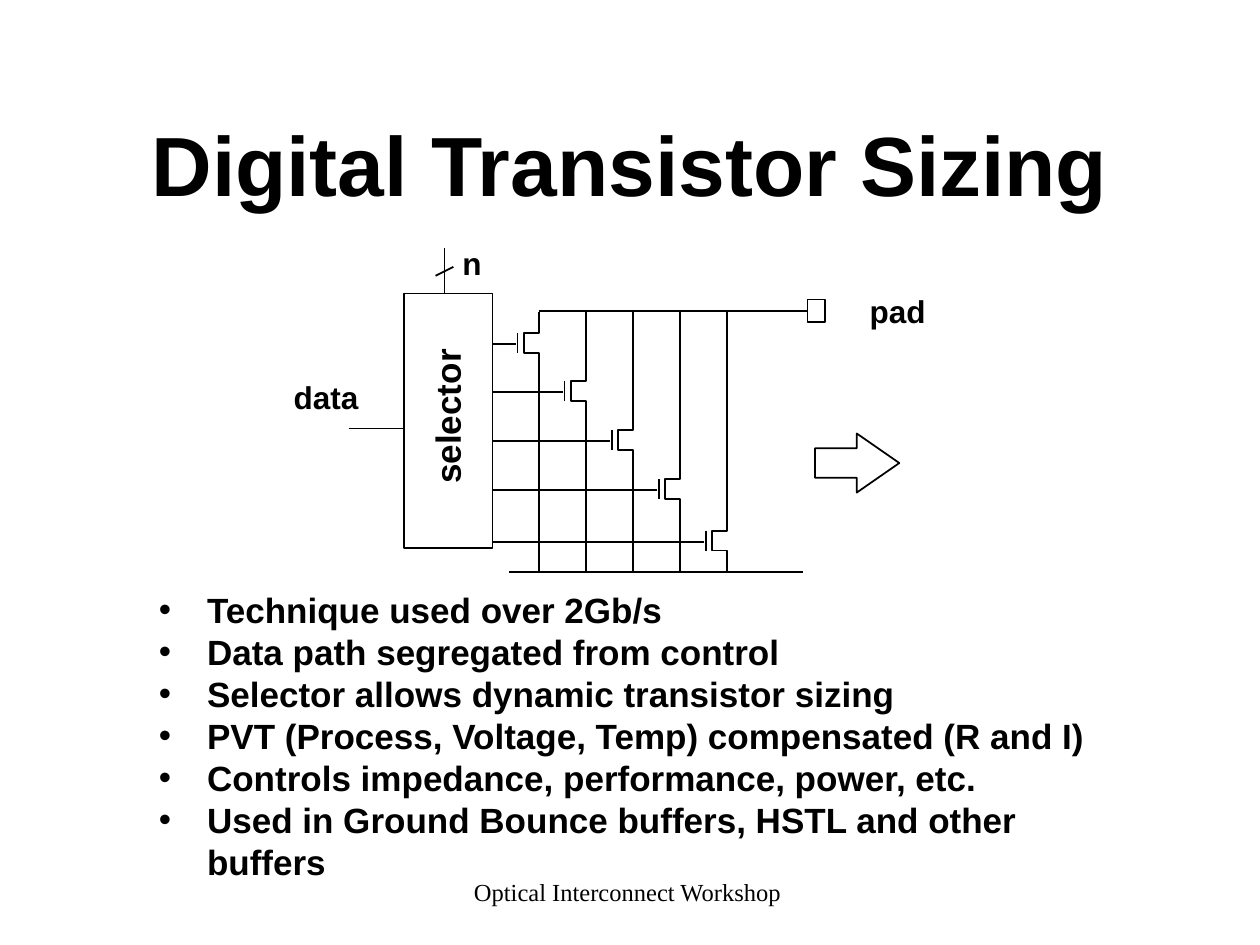
from lxml.etree import SubElement
from pptx import Presentation
from pptx.dml.color import RGBColor
from pptx.enum.shapes import MSO_CONNECTOR, MSO_SHAPE
from pptx.enum.text import MSO_ANCHOR, MSO_AUTO_SIZE, PP_ALIGN
from pptx.oxml.ns import qn
from pptx.util import Cm, Pt

BLACK = RGBColor(0x00, 0x00, 0x00)
WHITE = RGBColor(0xFF, 0xFF, 0xFF)
LINE_WIDTH = Pt(1)
COLUMN_STEP = 0.95
GATE_ROWS = (2.13, 3.1, 4.09, 5.08, 6.12)
BULLETS = (
    "Technique used over 2Gb/s",
    "Data path segregated from control",
    "Selector allows dynamic transistor sizing",
    "PVT (Process, Voltage, Temp) compensated (R and I)",
    "Controls impedance, performance, power, etc.",
    "Used in Ground Bounce buffers, HSTL and other buffers",
)


def place(shape, box):
    shape.left, shape.top, shape.width, shape.height = (Cm(value) for value in box)


def add_text(paragraph, text, size, font_name="Arial", bold=True):
    run = paragraph.add_run()
    run.text = text
    run.font.name = font_name
    run.font.size = Pt(size)
    run.font.bold = bold
    run.font.color.rgb = BLACK


def add_label(slide, box, text, size, font_name="Arial", bold=True, wrap=False):
    label = slide.shapes.add_textbox(*(Cm(value) for value in box))
    label.text_frame.word_wrap = wrap
    paragraph = label.text_frame.paragraphs[0]
    paragraph.alignment = PP_ALIGN.CENTER
    add_text(paragraph, text, size, font_name, bold)
    return label


def style_outline(shape):
    shape.shadow.inherit = False
    shape.fill.solid()
    shape.fill.fore_color.rgb = WHITE
    shape.line.color.rgb = BLACK
    shape.line.width = LINE_WIDTH


def add_outline(slide, kind, box):
    shape = slide.shapes.add_shape(kind, *(Cm(value) for value in box))
    style_outline(shape)
    return shape


def add_wire(slide, x1, y1, x2, y2):
    wire = slide.shapes.add_connector(
        MSO_CONNECTOR.STRAIGHT, Cm(x1), Cm(y1), Cm(x2), Cm(y2))
    wire.line.color.rgb = BLACK
    wire.line.width = LINE_WIDTH
    SubElement(wire._element.spPr, qn("a:effectLst"))
    return wire


def add_transistor(slide, x, y):
    add_wire(slide, x - 0.43, y - 0.2, x - 0.43, y + 0.2)
    channel = x - 0.3
    points = [(x, y - 0.2), (channel, y - 0.2), (channel, y + 0.2),
              (x, y + 0.2), (x, y + 0.61)]
    builder = slide.shapes.build_freeform(Cm(x), Cm(y - 0.61))
    builder.add_line_segments([(Cm(px), Cm(py)) for px, py in points], close=False)
    style_outline(builder.convert_to_shape())


def add_title(slide, box):
    title = slide.shapes.title
    place(title, box)
    frame = title.text_frame
    frame.auto_size = MSO_AUTO_SIZE.NONE
    frame.vertical_anchor = MSO_ANCHOR.MIDDLE
    frame.paragraphs[0].alignment = PP_ALIGN.CENTER
    add_text(frame.paragraphs[0], "Digital Transistor Sizing", 48)


def add_bullets(slide, box):
    body = slide.placeholders[1]
    place(body, box)
    frame = body.text_frame
    frame.word_wrap = True
    frame.auto_size = MSO_AUTO_SIZE.NONE
    frame.vertical_anchor = MSO_ANCHOR.TOP
    for index, text in enumerate(BULLETS):
        paragraph = frame.add_paragraph() if index else frame.paragraphs[0]
        properties = paragraph._p.get_or_add_pPr()
        properties.set("marL", str(Cm(0.97)))
        properties.set("indent", str(-Cm(0.97)))
        SubElement(properties, qn("a:buChar")).set("char", "•")
        paragraph.space_before = Pt(0)
        paragraph.line_spacing = Pt(24)
        add_text(paragraph, text, 20)


def add_circuit(slide, box):
    left, top, width, height = box
    ground = top + height
    selector_left, selector_right = left + 2.49, left + 4.27
    selector_top = top + 1.12
    first_column = left + 5.2

    pad = add_outline(slide, MSO_SHAPE.RECTANGLE, (left + 10.62, top + 1.24, 0.36, 0.46))
    rail = top + 1.47
    add_wire(slide, first_column, rail, left + 10.62, rail).end_connect(pad, 1)
    add_wire(slide, left + 4.6, ground, left + 10.52, ground)

    for index, row in enumerate(GATE_ROWS):
        x = first_column + index * COLUMN_STEP
        y = top + row
        add_wire(slide, selector_right, y, x - 0.46, y)
        add_transistor(slide, x, y - 0.02)
        if index:
            add_wire(slide, x, rail, x, y - 0.63)
        add_wire(slide, x, y + 0.59, x, ground)

    add_outline(slide, MSO_SHAPE.RECTANGLE,
                (selector_left, selector_top, selector_right - selector_left, 5.13))
    add_wire(slide, left + 1.37, top + 3.84, selector_left, top + 3.84)
    add_wire(slide, left + 3.3, top + 0.2, left + 3.3, selector_top)
    add_wire(slide, left + 3.12, top + 0.76, left + 3.48, top + 0.58)

    add_label(slide, (left + 3.4, top, 0.91, 1.02), "n", 18)
    add_label(slide, (left, top + 2.69, 1.83, 1.02), "data", 18)
    add_label(slide, (left + width - 1.65, top + 0.97, 1.65, 1.02), "pad", 18)
    selector_label = add_label(
        slide, (left + 1.73, top + 3.05, 3.23, 1.09), "selector", 20)
    selector_label.rotation = 270


def add_arrow(slide, box):
    arrow = add_outline(slide, MSO_SHAPE.RIGHT_ARROW, box)
    arrow.adjustments[0] = 0.5
    arrow.adjustments[1] = 0.72


def add_footer(slide, box):
    footer = add_label(slide, box, "Optical Interconnect Workshop ", 14,
                       "Times New Roman", False, True)
    footer.text_frame.vertical_anchor = MSO_ANCHOR.MIDDLE


def main():
    presentation = Presentation()
    presentation.slide_width = Cm(25.4)
    presentation.slide_height = Cm(19.05)
    slide = presentation.slides.add_slide(presentation.slide_layouts[1])
    add_title(slide, (1.9, 1.7, 21.6, 3.18))
    add_bullets(slide, (2.95, 11.73, 20.09, 5.33))
    add_circuit(slide, (5.66, 4.8, 13.26, 6.73))
    add_arrow(slide, (16.43, 8.74, 1.7, 1.19))
    add_footer(slide, (8.69, 17.35, 8.05, 1.27))
    presentation.save("out.pptx")


if __name__ == "__main__":
    main()
